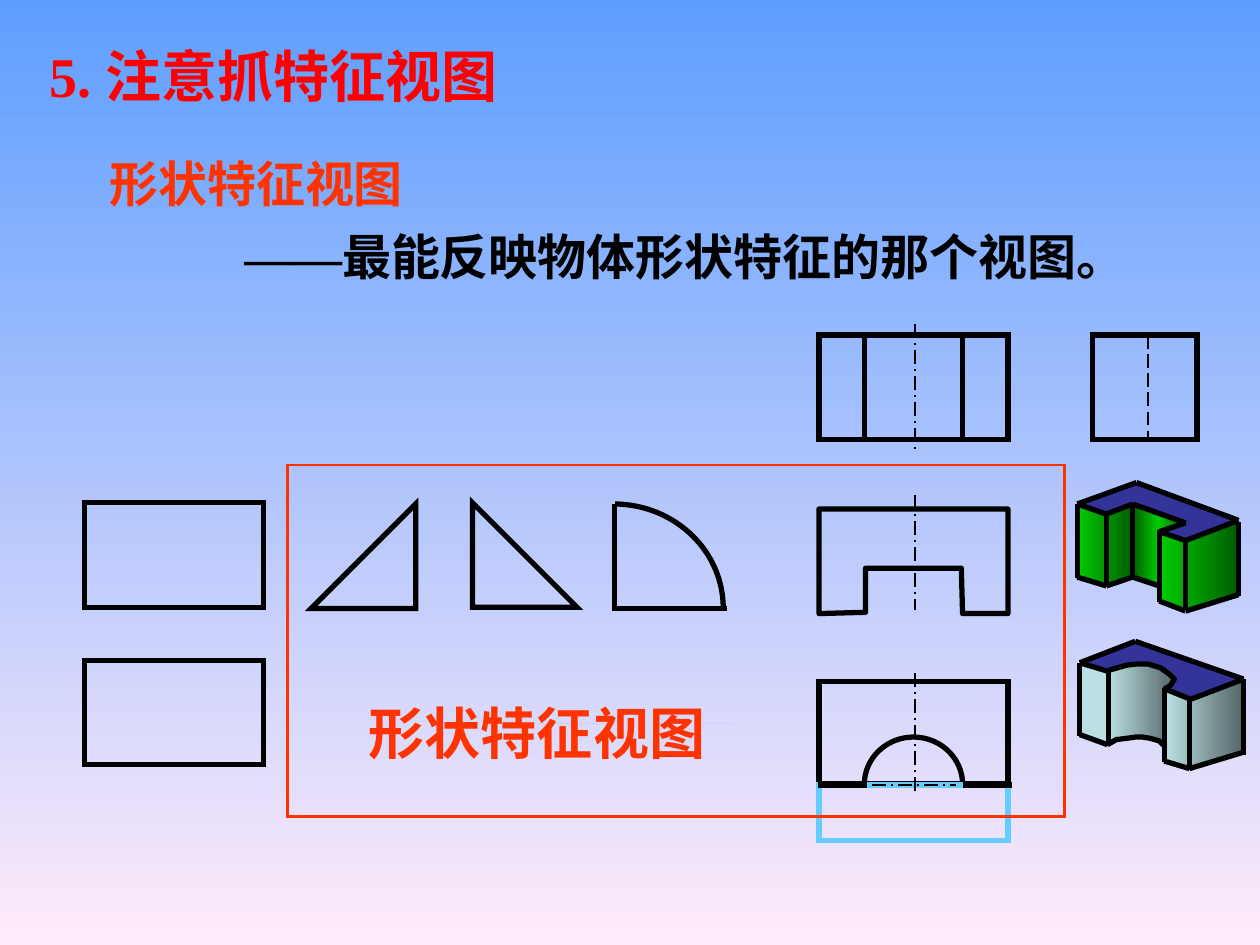
from copy import deepcopy
from itertools import pairwise

from lxml.etree import SubElement
from pptx import Presentation
from pptx.dml.color import RGBColor
from pptx.enum.dml import MSO_LINE
from pptx.enum.shapes import MSO_CONNECTOR, MSO_SHAPE
from pptx.enum.text import MSO_ANCHOR, MSO_AUTO_SIZE, PP_ALIGN
from pptx.oxml.ns import qn
from pptx.util import Inches, Pt

LATIN = "Times New Roman"
CHINESE = "Noto Sans CJK SC"
BLACK, RED, ORANGE, CYAN = "000000", "FF0000", "FF3300", "66CCFF"
SKY = ["5E9EFF", "FFEBFA"]
NAVY, PALE = "333399", "BBE0E3"
GREEN = ["005E00", "00CC00"]
STEEL = ["566768", PALE]
CENTER_LINE = MSO_LINE.LONG_DASH_DOT


def color(value):
    return RGBColor.from_string(value)


def apply(target, values):
    for name, value in values.items():
        setattr(target, name, value)


class Drawing:
    """Holds the style, the current slide and the group being drawn."""

    def __init__(self, presentation):
        self.slide = presentation.slides.add_slide(presentation.slide_layouts[5])
        self.shapes = self.slide.shapes
        self.frame_format = {
            "word_wrap": True,
            "auto_size": MSO_AUTO_SIZE.SHAPE_TO_FIT_TEXT,
            "vertical_anchor": MSO_ANCHOR.MIDDLE,
        }

    def start_group(self):
        self.shapes = self.slide.shapes.add_group_shape().shapes

    def end_group(self):
        self.shapes = self.slide.shapes

    def background(self, colors):
        fill = self.slide.background.fill
        fill.gradient()
        fill.gradient_angle = 270
        for stop, value in zip(fill.gradient_stops, colors):
            stop.color.rgb = color(value)

    def format_text(self, shape, box, runs, size, text_color, **frame_values):
        apply(shape, dict(zip(("left", "top", "width", "height"), map(Inches, box))))
        apply(shape.text_frame, self.frame_format | frame_values)
        paragraph = shape.text_frame.paragraphs[0]
        paragraph.alignment = PP_ALIGN.LEFT
        for text, font_name in runs:
            run = paragraph.add_run()
            run.text = text
            apply(run.font, {"name": font_name, "size": Pt(size), "bold": True})
            run.font.color.rgb = color(text_color)
            east_asian = SubElement(run.font._element, qn("a:ea"))
            east_asian.set("typeface", font_name)

    def title(self, box, runs, size, text_color):
        title = self.slide.shapes.title
        self.format_text(title, box, runs, size, text_color, vertical_anchor=MSO_ANCHOR.TOP)

    def text(self, box, runs, size, text_color, **frame_values):
        shape = self.slide.shapes.add_textbox(*map(Inches, box))
        self.format_text(shape, box, runs, size, text_color, **frame_values)

    def paint(self, shape, fill, line, width):
        if fill == "background":
            shape._element.set("useBgFill", "1")
        elif fill is None:
            shape.fill.background()
        elif isinstance(fill, str):
            shape.fill.solid()
            shape.fill.fore_color.rgb = color(fill)
        else:
            self.gradient(shape, fill)
        if line:
            shape.line.color.rgb = color(line)
            shape.line.width = Pt(width)
        else:
            shape.line.fill.background()
        shape.shadow.inherit = False

    def gradient(self, shape, colors):
        shape.fill.gradient()
        shape.fill.gradient_angle = 180
        stop_list = shape._element.find(".//" + qn("a:gsLst"))
        for _ in colors[2:]:
            stop_list.append(deepcopy(stop_list[0]))
        for index, stop in enumerate(shape.fill.gradient_stops):
            stop.color.rgb = color(colors[index])
            stop.position = index / (len(colors) - 1)

    def preset(self, kind, box, line=BLACK, fill=None, width=3, flip=False):
        shape = self.shapes.add_shape(kind, *map(Inches, box))
        self.paint(shape, fill, line, width)
        SubElement(shape._element.spPr.find(qn("a:ln")), qn("a:miter")).set("lim", "800000")
        if flip:
            shape._element.spPr.find(qn("a:xfrm")).set("flipH", "1")

    def rectangle(self, box, **values):
        self.preset(MSO_SHAPE.RECTANGLE, box, **values)

    def outline(self, points, fill=None, line=None, close=True):
        points = [(Inches(x), Inches(y)) for x, y in points]
        builder = self.shapes.build_freeform(*points[0])
        builder.add_line_segments(points[1:], close=close)
        self.paint(builder.convert_to_shape(), fill, line, 3)

    def line(self, start, end, width=3, dash=None):
        ends = map(Inches, (*start, *end))
        connector = self.shapes.add_connector(MSO_CONNECTOR.STRAIGHT, *ends)
        connector.line.color.rgb = color(BLACK)
        apply(connector.line, {"width": Pt(width), "dash_style": dash})
        SubElement(connector._element.spPr, qn("a:effectLst"))

    def edges(self, points):
        for start, end in pairwise(points):
            self.line(start, end)

    def verticals(self, spans):
        for x, top, bottom in spans:
            self.line((x, top), (x, bottom))


def draw_projections(drawing):
    drawing.start_group()
    drawing.rectangle((8.67, 2.66, 0.83, 0.83))
    drawing.line((9.11, 2.66), (9.11, 3.49), 1, MSO_LINE.LONG_DASH)
    drawing.rectangle((6.5, 2.66, 1.5, 0.83))
    drawing.verticals([(6.86, 2.66, 3.49), (7.64, 2.66, 3.49)])
    drawing.outline([(6.5, 4.04), (8, 4.04), (8, 4.87), (7.64, 4.87), (7.63, 4.51),
                     (6.87, 4.51), (6.87, 4.86), (6.5, 4.87)], line=BLACK)
    drawing.rectangle((6.5, 5.41, 1.5, 0.81), fill="background")
    drawing.preset(MSO_SHAPE.OVAL, (6.86, 5.85, 0.78, 0.75))
    drawing.rectangle((6.5, 6.23, 1.5, 0.44), line=CYAN, fill="background")
    for left, right in ((7.64, 8.03), (6.49, 6.88)):
        drawing.line((left, 6.23), (right, 6.23))
    for top, bottom in ((2.57, 3.57), (3.93, 4.84), (5.34, 6.3)):
        drawing.line((7.26, top), (7.26, bottom), 1, CENTER_LINE)
    drawing.line((6.92, 6.23), (7.59, 6.23), 1, CENTER_LINE)
    drawing.end_group()


def draw_simple_views(drawing):
    drawing.rectangle((2.28, 3.69, 6.17, 2.79), line=ORANGE, width=1.5)
    drawing.start_group()
    drawing.preset(MSO_SHAPE.OVAL, (4, 4, 1.74, 1.65))
    drawing.outline([(4.88, 4), (4.88, 4.83), (5.83, 4.83), (5.83, 5.74),
                     (3.92, 5.74), (3.92, 3.91), (4.88, 3.91)], fill="background")
    drawing.edges([(4.88, 4), (4.88, 4.83)])
    drawing.edges([(4.86, 4.83), (5.77, 4.83)])
    drawing.end_group()
    for top in (3.99, 5.24):
        drawing.rectangle((0.67, top, 1.42, 0.83))
    drawing.preset(MSO_SHAPE.RIGHT_TRIANGLE, (3.75, 3.99, 0.83, 0.83))
    drawing.preset(MSO_SHAPE.RIGHT_TRIANGLE, (2.47, 4, 0.83, 0.83), flip=True)


def draw_square_notch_solid(drawing):
    top = [(8.55, 4), (9.02, 3.83), (9.83, 4.13), (9.41, 4.29),
           (9.2, 4.22), (9.41, 4.15), (8.99, 4), (8.78, 4.08)]
    drawing.start_group()
    drawing.outline([(8.99, 4), (8.99, 4.58), (9.19, 4.64), (9.19, 4.22), (9.4, 4.15)],
                    GREEN + GREEN[:1])
    drawing.outline(top, NAVY)
    drawing.outline([(9.21, 4.22), (9.21, 4.78), (9.42, 4.84), (9.82, 4.73),
                     (9.82, 4.14), (9.41, 4.28)], GREEN)
    drawing.outline([(8.55, 4), (8.55, 4.58), (8.78, 4.65), (8.99, 4.58),
                     (8.99, 4), (8.77, 4.08)], GREEN)
    drawing.edges(top + top[:1])
    drawing.edges([(8.55, 4.58), (8.78, 4.65), (8.99, 4.58), (9.2, 4.65)])
    drawing.edges([(9.2, 4.77), (9.41, 4.85), (9.83, 4.72)])
    drawing.verticals([(8.55, 4, 4.59), (8.78, 4.07, 4.66), (8.99, 3.99, 4.58),
                       (9.2, 4.21, 4.78), (9.41, 4.28, 4.85), (9.83, 4.14, 4.73)])
    drawing.end_group()


def draw_round_notch_solid(drawing):
    upper_arc = [(8.8, 5.32), (8.87, 5.3), (8.94, 5.28), (9.02, 5.27), (9.11, 5.27),
                 (9.21, 5.3), (9.28, 5.35), (9.32, 5.39), (9.29, 5.44), (9.24, 5.47)]
    lower_arc = [(8.79, 5.91), (8.86, 5.87), (8.94, 5.86), (9.01, 5.85), (9.07, 5.85),
                 (9.13, 5.86), (9.2, 5.88), (9.25, 5.93)]
    rim = [(9.25, 5.47), (9.45, 5.55), (9.87, 5.39), (9.01, 5.09), (8.57, 5.26), (8.8, 5.33)]
    drawing.start_group()
    drawing.outline(upper_arc + rim[1:-1], NAVY)
    drawing.outline([(9.25, 5.47), (9.25, 6.04), (9.44, 6.1), (9.86, 5.97),
                     (9.86, 5.38), (9.44, 5.55)], STEEL)
    drawing.outline(lower_arc + upper_arc[::-1], STEEL)
    drawing.outline([(8.57, 5.25), (8.57, 5.83), (8.8, 5.91), (8.8, 5.33)], PALE)
    drawing.edges(rim)
    drawing.edges([(8.57, 5.83), (8.79, 5.91)])
    drawing.edges([(9.24, 6.04), (9.44, 6.1), (9.87, 5.97)])
    drawing.verticals([(8.57, 5.26, 5.84), (8.8, 5.32, 5.92), (9.24, 5.46, 6.05),
                       (9.44, 5.55, 6.11), (9.87, 5.39, 5.99)])
    for arc in (upper_arc, lower_arc):
        drawing.outline(arc, line=BLACK, close=False)
    drawing.end_group()


def main():
    presentation = Presentation()
    apply(presentation, {"slide_width": Inches(10), "slide_height": Inches(7.5)})
    drawing = Drawing(presentation)
    drawing.background(SKY)
    drawing.title((0.29, 0.28, 4.18, 0.64), [("5. ", LATIN), ("注意抓特征视图", CHINESE)], 32, RED)
    drawing.text((1.84, 1.75, 7.28, 0.57),
                 [("——", LATIN), ("最能反映物体形状特征的那个视图。", CHINESE)],
                 28, BLACK, word_wrap=False)
    drawing.text((0.77, 1.17, 2.73, 0.57), [("形状特征视图", CHINESE)], 28, ORANGE)
    draw_projections(drawing)
    draw_simple_views(drawing)
    drawing.text((2.83, 5.49, 3.12, 0.64), [("形状特征视图", CHINESE)], 32, ORANGE)
    draw_square_notch_solid(drawing)
    draw_round_notch_solid(drawing)
    presentation.save("out.pptx")


if __name__ == "__main__":
    main()
